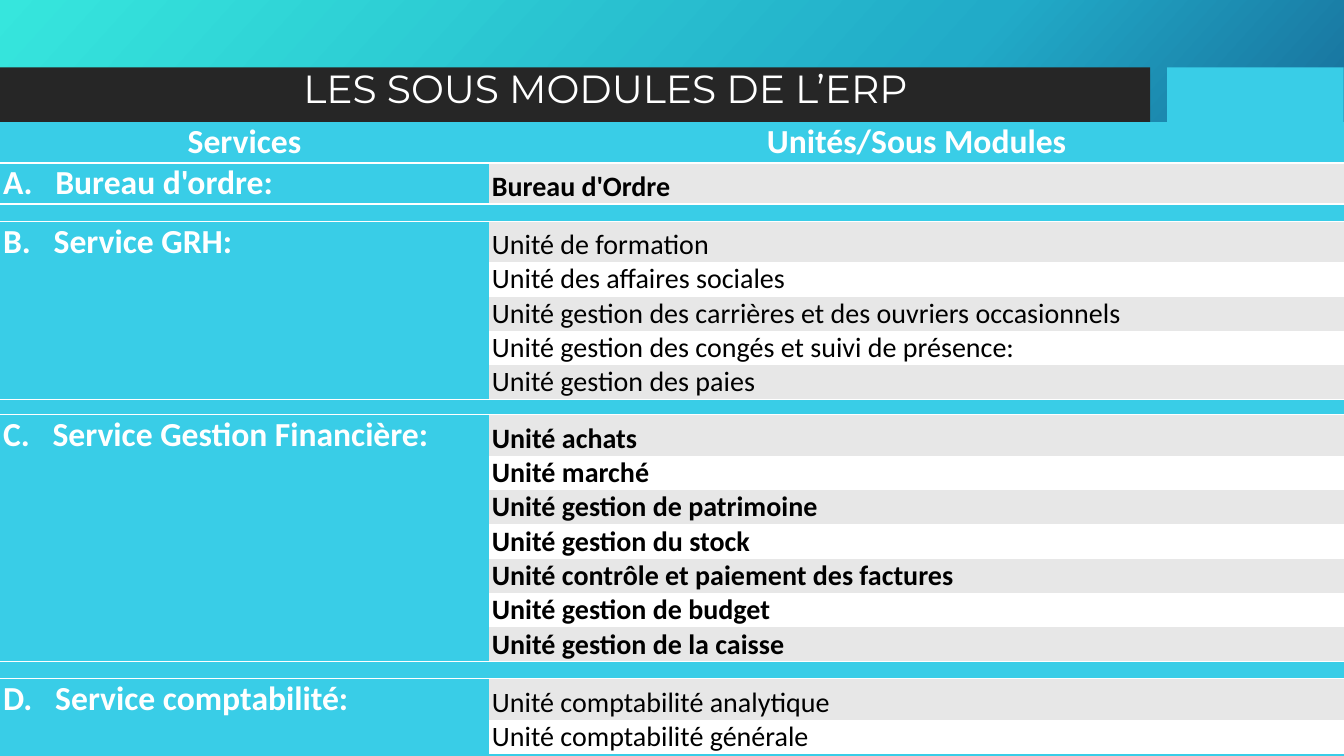
from copy import deepcopy
from dataclasses import dataclass

from lxml import etree
from pptx import Presentation
from pptx.dml.color import RGBColor
from pptx.enum.shapes import MSO_SHAPE
from pptx.enum.text import MSO_ANCHOR, PP_ALIGN
from pptx.oxml.ns import qn
from pptx.util import Inches, Pt

RECT = MSO_SHAPE.RECTANGLE
LOW, MID = MSO_ANCHOR.BOTTOM, MSO_ANCHOR.MIDDLE
LEFT, CENTER = PP_ALIGN.LEFT, PP_ALIGN.CENTER
WIDE, HIGH = Inches(13.33), Inches(7.5)
PLAIN = "{2D5ABB26-0587-4C30-8999-92F81FD0307C}"


@dataclass
class Theme:
    dark: str = "262626"
    cyan: str = "39CDE7"
    grey: str = "E7E7E7"
    white: str = "FFFFFF"
    black: str = "000000"
    sky: tuple = ((0, "36E6DD"), (0.5, "21ABC8"), (1, "0C2263"))
    head: str = "Montserrat"
    body: str = "Calibri"
    title: int = 28
    label: int = 24
    unit: int = 20
    gap: int = 6


LOOK = Theme()
ROW = 4.27
COLS = (36.38, 63.65)
HEADS = ("Services", "Unités/Sous Modules")
GROUPS = (
    ("A.   Bureau d'ordre:", True, 2.27, ("Bureau d'Ordre",)),
    ("B.   Service GRH:", False, 2, (
        "Unité de formation",
        "Unité des affaires sociales",
        "Unité gestion des carrières et des ouvriers occasionnels",
        "Unité gestion des congés et suivi de présence:",
        "Unité gestion des paies",
    )),
    ("C.   Service Gestion Financière:", True, 2.27, (
        "Unité achats",
        "Unité marché",
        "Unité gestion de patrimoine",
        "Unité gestion du stock",
        "Unité contrôle et paiement des factures",
        "Unité gestion de budget",
        "Unité gestion de la caisse",
    )),
    ("D.   Service comptabilité:", False, 1.6, (
        "Unité comptabilité analytique",
        "Unité comptabilité générale",
    )),
)


def across(share):
    return int(WIDE * share / 100)


def down(share):
    return int(HIGH * share / 100)


def rgb(code):
    return RGBColor.from_string(code)


def paint(fill, code):
    fill.solid()
    fill.fore_color.rgb = rgb(code)


def style(para, face, size, code, bold=False):
    for run in para.runs:
        run.font.name = face
        run.font.size = Pt(size)
        run.font.bold = bold
        run.font.color.rgb = rgb(code)


def backdrop(slide):
    fill = slide.background.fill
    fill.gradient()
    fill.gradient_angle = 318
    stops = next(slide.element.iter(qn("a:gsLst")))
    stops.append(deepcopy(stops[0]))
    for stop, (place, code) in zip(fill.gradient_stops, LOOK.sky):
        stop.position = place
        stop.color.rgb = rgb(code)


def panel(slide, left, width, code):
    shape = slide.shapes.add_shape(
        RECT, across(left), down(8.93), across(width), down(20))
    shape.shadow.inherit = False
    paint(shape.fill, code)
    shape.line.fill.background()


def heading(slide, text):
    title = slide.shapes.title
    title.left, title.top = across(5.63), down(9.87)
    title.width, title.height = across(78.82), down(4.4)
    frame = title.text_frame
    frame.text = text
    frame.word_wrap = True
    frame.vertical_anchor = MID
    para = frame.paragraphs[0]
    para.alignment = CENTER
    para.line_spacing = 0.9
    style(para, LOOK.head, LOOK.title, LOOK.white)
    title.element.getparent().append(title.element)


def write(cell, text, back, code, size, bold=True, align=LEFT):
    cell.margin_left = cell.margin_right = Inches(0.03)
    cell.margin_top = cell.margin_bottom = 0
    cell.vertical_anchor = LOW
    paint(cell.fill, back)
    cell.text = text
    para = cell.text_frame.paragraphs[0]
    para.alignment = align
    style(para, LOOK.body, size, code, bold)
    if not text:
        end = etree.SubElement(para._p, qn("a:endParaRPr"))
        end.set("sz", str(size * 100))


def rule(cell, *edges):
    props = cell._tc.get_or_add_tcPr()
    for edge in edges:
        line = etree.Element(qn("a:" + edge), w=str(Pt(1)))
        fill = etree.SubElement(line, qn("a:solidFill"))
        etree.SubElement(fill, qn("a:srgbClr"), val=LOOK.white)
        props.insert(0, line)


def section(table, top, label, bold, gap, units):
    for i, unit in enumerate(units):
        name = "" if i else label
        size = LOOK.gap if i else LOOK.label
        back = LOOK.white if i % 2 else LOOK.grey
        write(table.cell(top + i, 0), name, LOOK.cyan, LOOK.white, size)
        write(table.cell(top + i, 1), unit, back, LOOK.black, LOOK.unit, bold)
    last = top + len(units)
    table.rows[last].height = down(gap)
    for cell in table.rows[last].cells:
        write(cell, "", LOOK.cyan, LOOK.white, LOOK.gap)
        if last + 1 < len(table.rows):
            rule(cell, "lnB", "lnT")
    if top > 1:
        table.cell(last, 0).merge(table.cell(last, 1))
    return last + 1


def listing(slide):
    count = 1 + sum(len(group[-1]) + 1 for group in GROUPS)
    frame = slide.shapes.add_table(
        count, len(COLS), 0, down(16.13), across(sum(COLS)), down(ROW * count))
    table = frame.table
    next(frame.element.iter(qn("a:tableStyleId"))).text = PLAIN
    for col, share in zip(table.columns, COLS):
        col.width = across(share)
    for row in table.rows:
        row.height = down(ROW)
    for cell, text in zip(table.rows[0].cells, HEADS):
        write(cell, text, LOOK.cyan, LOOK.white, LOOK.label, align=CENTER)
        rule(cell, "lnB")
    top = 1
    for group in GROUPS:
        top = section(table, top, *group)


def main():
    deck = Presentation()
    deck.slide_width, deck.slide_height = WIDE, HIGH
    slide = deck.slides.add_slide(deck.slide_layouts[5])
    backdrop(slide)
    panel(slide, 0, 85.58, LOOK.dark)
    panel(slide, 86.85, 13.13, LOOK.cyan)
    heading(slide, "LES SOUS MODULES DE L’ERP")
    listing(slide)
    deck.save("out.pptx")


if __name__ == "__main__":
    main()
